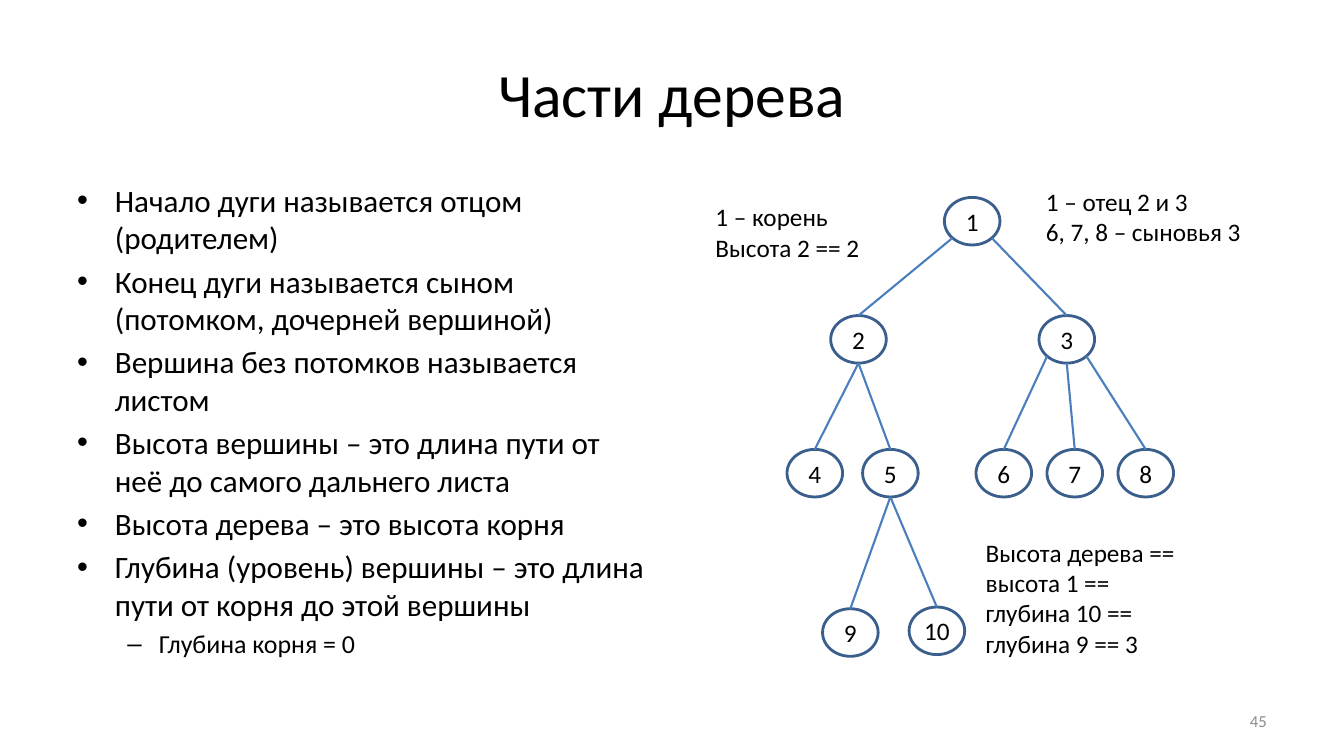
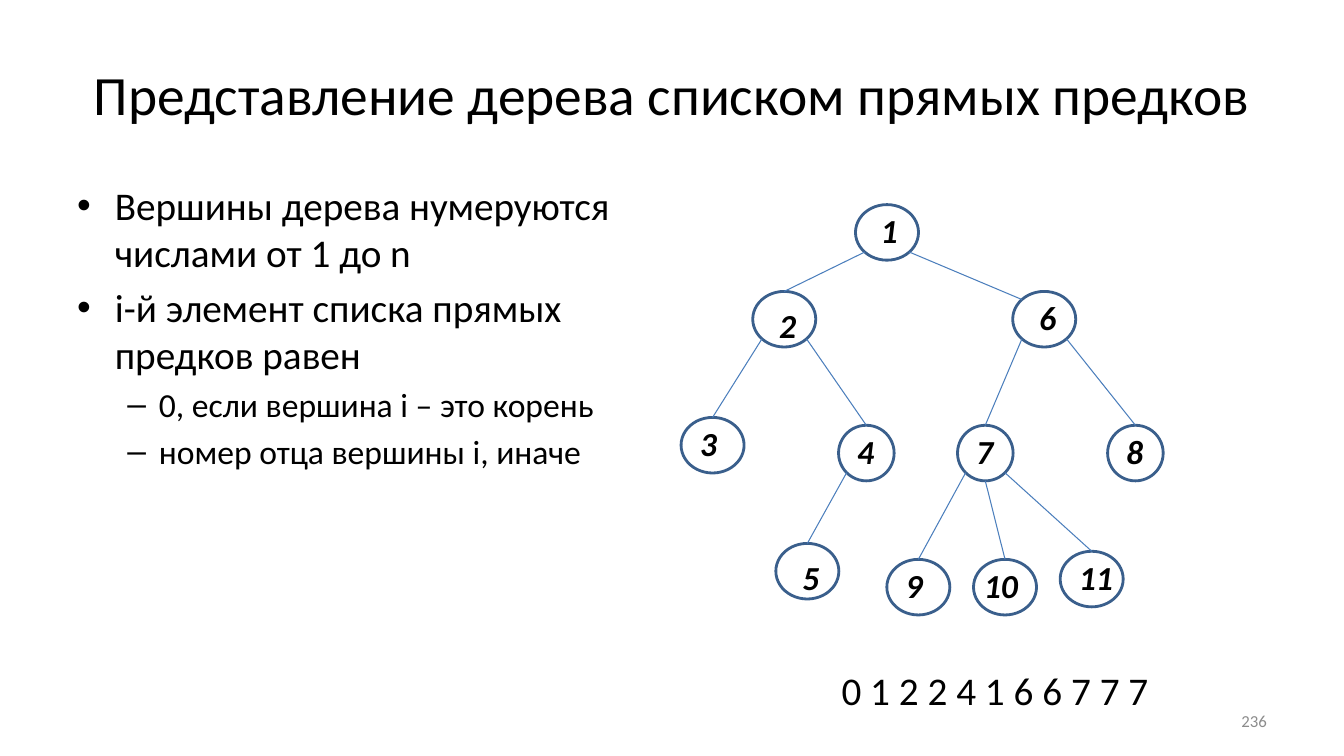
from math import sqrt

from lxml.etree import SubElement
from pptx import Presentation
from pptx.dml.color import RGBColor
from pptx.enum.shapes import MSO_CONNECTOR, MSO_SHAPE
from pptx.enum.text import MSO_ANCHOR, PP_ALIGN
from pptx.oxml.ns import qn
from pptx.util import Pt

COLORS = {"text": "000000", "outline": "3A5F8C", "edge": "4B7EBC", "number": "8C8C8C"}
FONT = "Calibri"

# Per outline level: bullet, left margin, hanging indent
LEVELS = [("•", 27, 27), ("–", 58.5, 22.5)]

DIAGONAL = sqrt(0.5)
SITES = {
    "top": (0, -1),
    "top left": (-DIAGONAL, -DIAGONAL),
    "bottom": (0, 1),
    "bottom left": (-DIAGONAL, DIAGONAL),
    "bottom right": (DIAGONAL, DIAGONAL),
}

# Node: centre x, centre y
PARTS_NODE_SIZE = (39.7, 34)
PARTS_NODES = {
    1: (694.4, 158),
    2: (613.2, 242.4), 3: (762, 242.4),
    4: (582, 338), 5: (636, 338),
    6: (717, 338), 7: (767.7, 338), 8: (818.4, 338),
    9: (607.4, 451.8), 10: (669.2, 450.6),
}
# Edge: parent, site on the parent, child, site on the child
PARTS_EDGES = [
    (1, "bottom left", 2, "top"), (1, "bottom right", 3, "top"),
    (2, "bottom", 4, "top"), (2, "bottom", 5, "top"),
    (3, "bottom left", 6, "top"), (3, "bottom", 7, "top"), (3, "bottom right", 8, "top"),
    (5, "bottom", 9, "top"), (5, "bottom", 10, "top"),
]

# Node: centre x, centre y, width, shift of the label from the centre
NODE_HEIGHT = 39.7
PARENT_NODES = {
    1: (633.6, 166, 45, (1.5, -1.5)),
    2: (560.2, 228, 45, (2.5, 4.3)),
    3: (509, 318, 45, (-3, -1.5)),
    4: (618.8, 323.6, 39.7, (-0.5, -1.5)),
    5: (576.7, 408, 45, (2.5, 4.3)),
    6: (745.9, 228, 45, (2.5, -1.5)),
    7: (703.8, 323.6, 39.7, (-0.5, -1.5)),
    8: (811, 323.6, 39.7, (-0.5, -1.5)),
    9: (656, 419.4, 45, (-3, -1.5)),
    10: (717.9, 419.4, 45, (-3, -1.5)),
    11: (779.8, 413.6, 45, (3, -1.5)),
}
PARENT_EDGES = [
    (1, "bottom left", 2, "top"), (1, "bottom right", 6, "top left"),
    (2, "bottom left", 3, "top"), (2, "bottom right", 4, "top"),
    (4, "bottom left", 5, "top"),
    (6, "bottom left", 7, "top"), (6, "bottom right", 8, "top"),
    (7, "bottom left", 9, "top"), (7, "bottom", 10, "top"), (7, "bottom right", 11, "top"),
]


def color(name):
    return RGBColor.from_string(COLORS[name])


def style_paragraph(paragraph, size, color_name="text", align=PP_ALIGN.LEFT, emphasis=False):
    paragraph.alignment = align
    for run in paragraph.runs:
        run.font.name = FONT
        run.font.size = Pt(size)
        run.font.color.rgb = color(color_name)
        if emphasis:
            run.font.bold = run.font.italic = True


def set_insets(text_frame, horizontal, vertical):
    text_frame.margin_left = text_frame.margin_right = Pt(horizontal)
    text_frame.margin_top = text_frame.margin_bottom = Pt(vertical)


def add_text(shapes, box, text, size, anchor=MSO_ANCHOR.TOP, insets=(7.2, 3.6), **style):
    """Add a text box; each line of text becomes a paragraph."""
    text_frame = shapes.add_textbox(*map(Pt, box)).text_frame
    text_frame.word_wrap = True
    text_frame.vertical_anchor = anchor
    set_insets(text_frame, *insets)
    text_frame.text = text
    for paragraph in text_frame.paragraphs:
        style_paragraph(paragraph, size, **style)
    return text_frame


def add_bullets(slide, items, sizes):
    """Add the body list; items are (level, text), sizes go by level."""
    lines = "\n".join(text for level, text in items)
    text_frame = add_text(slide.shapes, (48, 126, 424, 356.4), lines, sizes[0])
    for index, (level, text) in enumerate(items):
        paragraph = text_frame.paragraphs[index]
        bullet, margin, hanging = LEVELS[level]
        paragraph.level = level
        if index:
            paragraph.space_before = Pt(round(sizes[level] * 0.2, 1))
        properties = paragraph._p.get_or_add_pPr()
        properties.set("marL", str(Pt(margin)))
        properties.set("indent", str(-Pt(hanging)))
        SubElement(properties, qn("a:buFont")).set("typeface", "Arial")
        SubElement(properties, qn("a:buChar")).set("char", bullet)
        style_paragraph(paragraph, sizes[level])


def add_node(shapes, center, size, label=""):
    (x, y), (width, height) = center, size
    node = shapes.add_shape(
        MSO_SHAPE.OVAL, Pt(x - width / 2), Pt(y - height / 2), Pt(width), Pt(height))
    node.shadow.inherit = False
    node.fill.background()
    node.line.color.rgb = color("outline")
    node.line.width = Pt(2)
    if label:
        text_frame = node.text_frame
        text_frame.vertical_anchor = MSO_ANCHOR.MIDDLE
        set_insets(text_frame, 0, 0)
        text_frame.text = label
        style_paragraph(text_frame.paragraphs[0], 18, align=PP_ALIGN.CENTER)
    return node


def site_position(node, site):
    across, down = SITES[site]
    return (int(node.left + node.width * (1 + across) / 2),
            int(node.top + node.height * (1 + down) / 2))


def add_edges(shapes, nodes, edges, width):
    for parent, parent_site, child, child_site in edges:
        edge = shapes.add_connector(
            MSO_CONNECTOR.STRAIGHT,
            *site_position(nodes[parent], parent_site),
            *site_position(nodes[child], child_site))
        edge.line.color.rgb = color("edge")
        edge.line.width = Pt(width)
        SubElement(edge._element.spPr, qn("a:effectLst"))


def add_slide(presentation, title, title_size, number):
    slide = presentation.slides.add_slide(presentation.slide_layouts[6])
    add_text(slide.shapes, (48, 21.6, 864, 90), title, title_size,
             anchor=MSO_ANCHOR.MIDDLE, align=PP_ALIGN.CENTER)
    add_text(slide.shapes, (688, 500.5, 224, 28.8), number, 12,
             anchor=MSO_ANCHOR.MIDDLE, align=PP_ALIGN.RIGHT, color_name="number")
    return slide


def add_tree_parts_slide(presentation):
    slide = add_slide(presentation, "Части дерева", 44, "45")
    add_bullets(slide, [
        (0, "Начало дуги называется отцом (родителем)"),
        (0, "Конец дуги называется сыном (потомком, дочерней вершиной)"),
        (0, "Вершина без потомков называется листом"),
        (0, "Высота вершины – это длина пути от неё до самого дальнего листа"),
        (0, "Высота дерева – это высота корня"),
        (0, "Глубина (уровень) вершины – это длина пути от корня до этой вершины"),
        (1, "Глубина корня = 0"),
    ], (22.2, 18.5))

    tree = slide.shapes.add_group_shape().shapes
    nodes = {number: add_node(tree, center, PARTS_NODE_SIZE, str(number))
             for number, center in PARTS_NODES.items()}
    add_edges(tree, nodes, PARTS_EDGES, 1.5)

    for box, text in [
        ((740, 129.6, 170, 51), "1 – отец 2 и 3\n6, 7, 8 – сыновья 3"),
        ((697, 380.2, 180, 94.3), "Высота дерева == высота 1 ==\nглубина 10 ==\nглубина 9 == 3"),
        ((504, 140.6, 130, 51), "1 – корень\nВысота 2 == 2"),
    ]:
        add_text(slide.shapes, box, text, 18)


def add_parent_list_slide(presentation):
    slide = add_slide(presentation, "Представление дерева списком прямых предков", 39.6, "236")
    add_bullets(slide, [
        (0, "Вершины дерева нумеруются числами от 1 до n"),
        (0, "i-й элемент списка прямых предков равен"),
        (1, "0, если вершина i – это корень"),
        (1, "номер отца вершины i, иначе"),
    ], (28, 24))

    nodes = {}
    for number, (x, y, width, (shift_x, shift_y)) in PARENT_NODES.items():
        nodes[number] = add_node(slide.shapes, (x, y), (width, NODE_HEIGHT))
        label_box = (x + shift_x - 20, y + shift_y - 18, 40, 36)
        add_text(slide.shapes, label_box, str(number), 24, anchor=MSO_ANCHOR.MIDDLE,
                 insets=(0, 0), align=PP_ALIGN.CENTER, emphasis=True)
    add_edges(slide.shapes, nodes, PARENT_EDGES, 0.75)
    add_text(slide.shapes, (594, 472.3, 245, 41), "0 1 2 2 4 1 6 6 7 7 7", 28)


def main():
    presentation = Presentation()
    presentation.slide_width = Pt(960)
    presentation.slide_height = Pt(540)
    add_tree_parts_slide(presentation)
    add_parent_list_slide(presentation)
    presentation.save("out.pptx")


if __name__ == "__main__":
    main()
